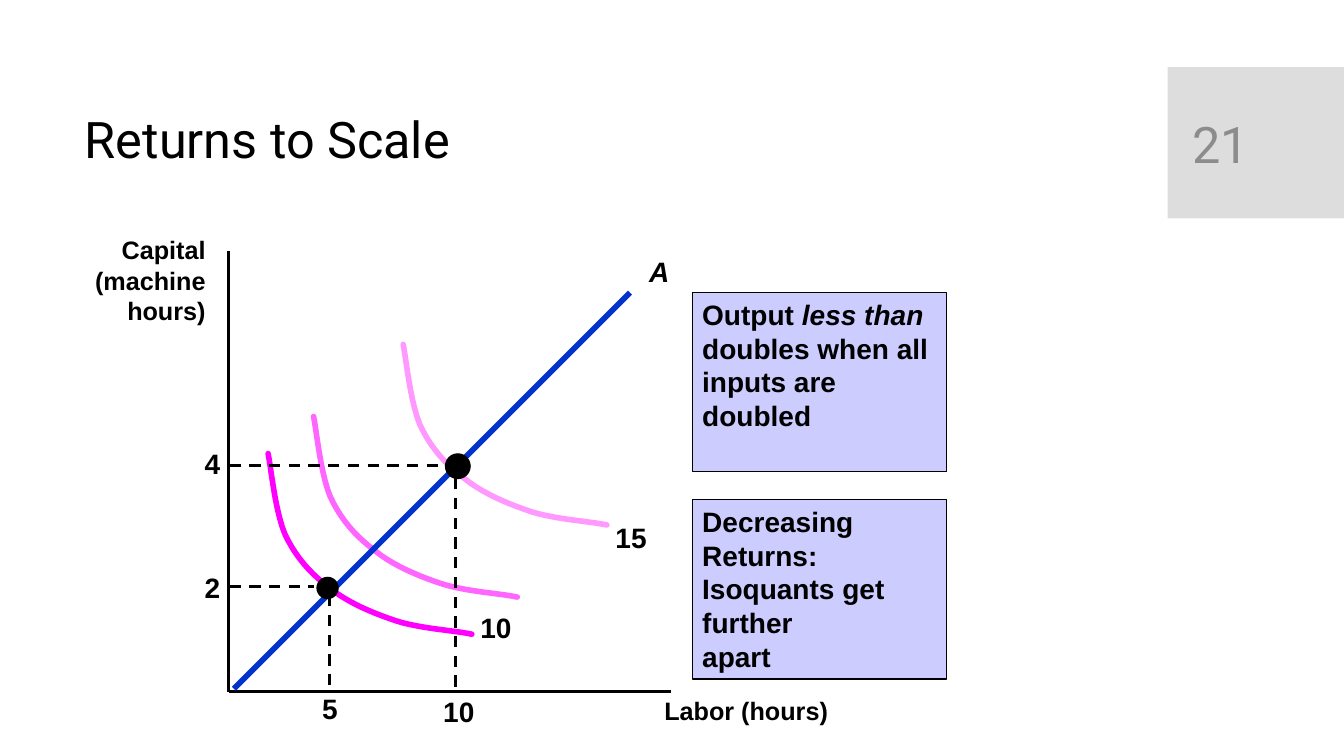
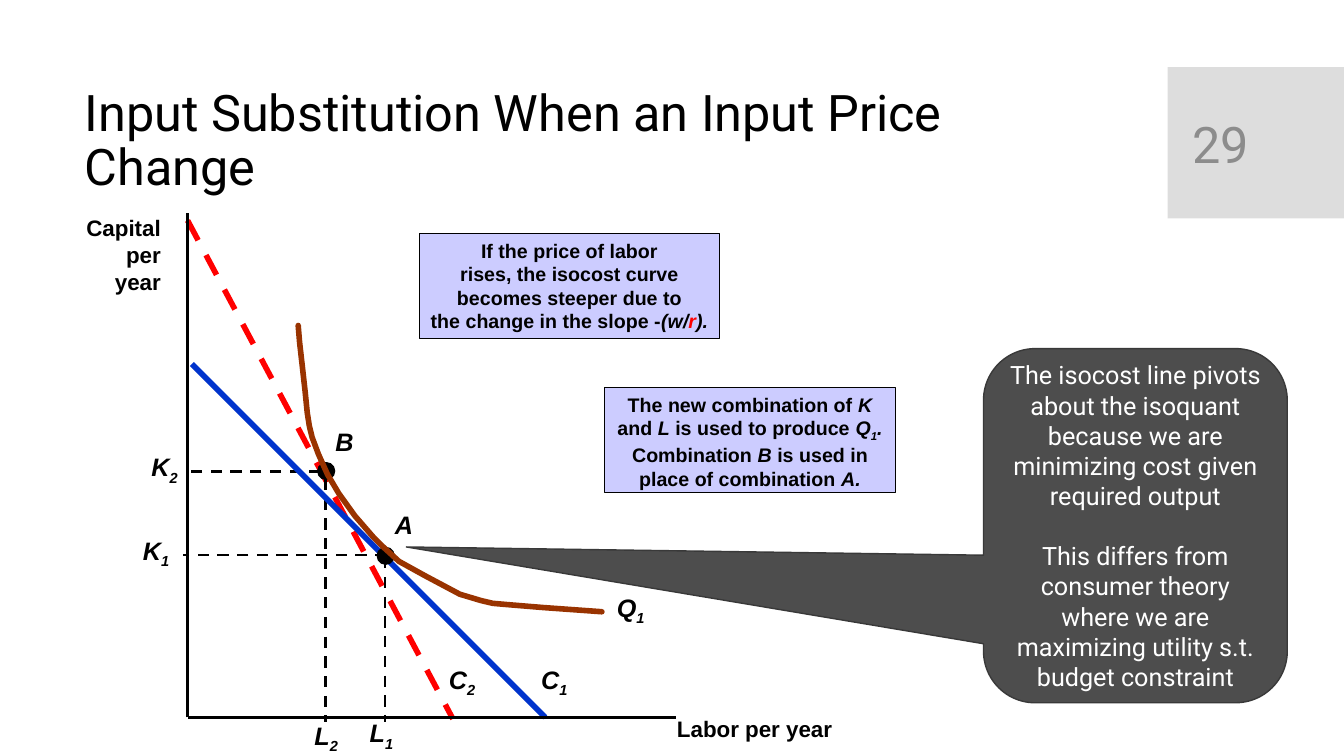
from dataclasses import dataclass
from typing import Any

from lxml.etree import SubElement
from pptx import Presentation
from pptx.dml.color import RGBColor
from pptx.enum.dml import MSO_LINE
from pptx.enum.shapes import MSO_CONNECTOR, MSO_SHAPE
from pptx.enum.text import MSO_ANCHOR, PP_ALIGN
from pptx.oxml.ns import qn
from pptx.util import Pt

# Shared look
BLACK, WHITE, RED, BLUE, BROWN = "000000", "FFFFFF", "FF0000", "0033CC", "993300"
BAND, PAGE_GREY, NOTE_FILL = "DDDDDD", "8C8C8C", "CCCCFF"
CALLOUT_FILL, CALLOUT_EDGE = "4D4D4D", "393939"
HEADING_FONT, CHART_FONT = "Roboto", "Arial"
LEFT, CENTER, RIGHT = PP_ALIGN.LEFT, PP_ALIGN.CENTER, PP_ALIGN.RIGHT

# Isoquant of the first slide: cubic segments, right of and below its start
ISOQUANT_SEGMENTS = [
    [(0, 0), (2, 9.5), (5, 41), (12, 57.5)],
    [(12, 57.5), (19.5, 73.5), (30, 85.5), (44, 96)],
    [(44, 96), (57, 106.5), (75, 114), (91.5, 119.5)],
    [(91.5, 119.5), (108.5, 125), (134.5, 126.5), (145.5, 129)],
]

# Isoquant Q1 of the second slide, right of and above the axes' corner
Q1_POINTS = [
    (79, 280), (80, 268), (82, 250.5), (84, 232.5), (85.5, 217.5), (87, 208),
    (89, 200), (93.5, 188), (100, 173.5), (108, 160), (119.5, 144),
    (132.5, 129), (139, 122.5), (151, 111.5), (170, 101), (194.5, 88),
    (209.5, 83.5), (218, 81.5), (229.5, 80.5), (254, 78.5), (296, 75.5),
]


def color(hex_code):
    return RGBColor.from_string(hex_code)


def points(*lengths):
    return [Pt(length) for length in lengths]


def paint(shape, fill=None, edge=None, width=1):
    shape.shadow.inherit = False
    if fill:
        shape.fill.solid()
        shape.fill.fore_color.rgb = color(fill)
    else:
        shape.fill.background()
    if edge:
        shape.line.color.rgb = color(edge)
        shape.line.width = Pt(width)
    else:
        shape.line.fill.background()


def var(letter, index=None):
    """An italic symbol with an optional subscript."""
    return [(letter, "i")] + ([(index, "sub")] if index else [])


def write(shape, paragraphs, size, font=CHART_FONT, ink=BLACK, bold=True,
          align=LEFT, anchor=MSO_ANCHOR.TOP, wrap=True, gap=0, spacing=None):
    """Each paragraph is a string or a list of (text, style) runs."""
    frame = shape.text_frame
    frame.word_wrap, frame.vertical_anchor = wrap, anchor
    for number, runs in enumerate(paragraphs):
        paragraph = frame.add_paragraph() if number else frame.paragraphs[0]
        paragraph.alignment = align
        if spacing:
            paragraph.line_spacing = spacing
        if number and gap:
            paragraph.space_before = Pt(gap)
        paragraph.font.name, paragraph.font.size = font, Pt(size)
        paragraph.font.bold, paragraph.font.color.rgb = bold, color(ink)
        for text, style in [(runs, "")] if isinstance(runs, str) else runs:
            run = paragraph.add_run()
            run.text = text
            if style:
                run.font.italic = True
            if style == "sub":
                run.font._element.set("baseline", "-25000")
            if style == "red":
                run.font.color.rgb = color(RED)


def note(slide, box, paragraphs, size, **options):
    panel = slide.shapes.add_shape(MSO_SHAPE.RECTANGLE, *points(*box))
    paint(panel, NOTE_FILL, BLACK)
    write(panel, paragraphs, size, **options)


def add_base(deck, title, page):
    """Blank slide with the title and the page number on its band."""
    slide = deck.slides.add_slide(deck.slide_layouts[6])
    band = slide.shapes.add_shape(MSO_SHAPE.RECTANGLE, *points(834, 48, 126, 108))
    paint(band, BAND)
    for text, box, ink, spacing in (
        (title, (53.5, 59, 756.5, 85), BLACK, 0.9),
        (page, (844.5, 60, 91, 85.5), PAGE_GREY, None),
    ):
        write(slide.shapes.add_textbox(*points(*box)), [text], 36, HEADING_FONT, ink,
              bold=False, anchor=MSO_ANCHOR.MIDDLE, spacing=spacing)
    return slide


@dataclass
class Graph:
    """Axes with their corner at (left, base); places are right of and above it."""
    slide: Any
    left: float
    base: float
    label_size: float

    def at(self, x, up):
        return points(self.left + x, self.base - up)

    def line(self, start, end, ink=BLACK, width=2, dashed=False):
        stroke = self.slide.shapes.add_connector(
            MSO_CONNECTOR.STRAIGHT, *self.at(*start), *self.at(*end))
        stroke.line.color.rgb, stroke.line.width = color(ink), Pt(width)
        if dashed:
            stroke.line.dash_style = MSO_LINE.DASH
        SubElement(stroke._element.spPr, qn("a:effectLst"))

    def axes(self, width, height):
        self.line((0, 0), (0, height))
        self.line((0, 0), (width, 0))

    def guides(self, level, across, column, down):
        """Dashed lines from a point to both axes."""
        self.line((across[0], level), (across[1], level), dashed=True)
        self.line((column, down[0]), (column, down[1]), dashed=True)

    def curve(self, places, ink):
        pen = self.slide.shapes.build_freeform(*self.at(*places[0]))
        pen.add_line_segments([self.at(*place) for place in places[1:]], close=False)
        outline = pen.convert_to_shape()
        paint(outline, edge=ink, width=4)
        outline.line._get_or_add_ln().set("cap", "rnd")

    def dot(self, x, up, size, edge=None):
        mark = self.slide.shapes.add_shape(
            MSO_SHAPE.OVAL, *self.at(x - size / 2, up + size / 2), *points(size, size))
        paint(mark, BLACK, edge)

    def label(self, x, up, paragraphs, width=35, height=30, size=None, align=LEFT):
        box = self.slide.shapes.add_textbox(*self.at(x, up), *points(width, height))
        write(box, paragraphs, size or self.label_size, align=align, wrap=False)


def isoquant_places(x, up, steps=10):
    places = [(x, up)]
    for segment in ISOQUANT_SEGMENTS:
        for step in range(1, steps + 1):
            t = step / steps
            weights = ((1 - t) ** 3, 3 * t * (1 - t) ** 2, 3 * t * t * (1 - t), t ** 3)
            right, down = (sum(w * p[axis] for w, p in zip(weights, segment))
                           for axis in (0, 1))
            places.append((x + right, up - down))
    return places


def scale_graph(slide, left, base):
    graph = Graph(slide, left, base, 20)
    graph.axes(316, 315)
    graph.label(304, 1, ["Labor (hours)"], 132.5, size=18)
    graph.label(-103.5, 330, ["Capital", "(machine", "hours)"], 94, 73, 18, RIGHT)

    # Lower isoquants, guides, expansion path, then the top isoquant
    graph.curve(isoquant_places(28, 170), "FF00FF")
    graph.curve(isoquant_places(60.5, 196.5), "FF66FF")
    graph.guides(161.5, (0.5, 151), 162, (3.5, 158))
    graph.guides(75, (0.5, 61), 72, (4.5, 67))
    graph.line((3.5, 2), (286.5, 285), BLUE, 4)
    graph.curve(isoquant_places(124.5, 248), "FF99FF")
    graph.dot(163.5, 161, 18.5)
    graph.dot(70.5, 74, 16)

    # Values and names
    for x, up, runs, width in (
        (172.5, 61.5, "10", 37), (146, 1.5, "10", 37), (269, 126, "15", 37),
        (-24.5, 178.5, "4", 26), (-24.5, 90, "2", 26), (59.5, 3.5, "5", 26),
        (293, 316, var("A"), 29),
    ):
        graph.label(x, up, [runs], width)


def substitution_graph(slide, left, base):
    graph = Graph(slide, left, base, 18)

    # Isocost lines, guides and the isoquant
    graph.line((0, 355), (189.5, -1), RED, 4, dashed=True)
    graph.dot(99, 176, 12, BLACK)
    graph.guides(175.5, (95, 2), 98.5, (170.5, -3))
    graph.line((3, 252.5), (255.5, 0), BLUE, 4)
    graph.guides(116, (142, -3.5), 141, (114.5, -3))
    graph.dot(141.5, 115.5, 12, BLACK)
    graph.curve(Q1_POINTS, BROWN)

    # Names of points, lines and quantities
    for x, up, letter, index in (
        (179.5, 41.5, "C", "2"), (245.5, 41.5, "C", "1"),
        (-33, 193.5, "K", "2"), (-39, 134, "K", "1"),
        (83.5, 1.5, "L", "2"), (123, 3.5, "L", "1"),
        (98.5, 211.5, "B", None), (141, 152, "A", None), (299.5, 93, "Q", "1"),
    ):
        graph.label(x, up, [var(letter, index)], 34 if index else 27)
    graph.label(342.5, 5, ["Labor per year"], 127, size=16)
    graph.label(-80.5, 363, ["Capital", "per", "year"], 68.5, 65.5, 16, RIGHT)
    graph.axes(349, 360)


def callout(slide, box):
    bubble = slide.shapes.add_shape(MSO_SHAPE.ROUNDED_RECTANGULAR_CALLOUT, *points(*box))
    for index, value in enumerate((-2.4, 0.06, 0.17)):
        bubble.adjustments[index] = value
    paint(bubble, CALLOUT_FILL, CALLOUT_EDGE)
    write(bubble, [
        "The isocost line pivots about the isoquant because we are "
        "minimizing cost given required output",
        "This differs from consumer theory where we are maximizing "
        "utility s.t. budget constraint",
    ], 18, HEADING_FONT, WHITE, bold=False, align=CENTER,
        anchor=MSO_ANCHOR.MIDDLE, gap=21)


def returns_slide(deck):
    slide = add_base(deck, "Returns to Scale", "21")
    scale_graph(slide, 163.5, 494)
    notes = (
        [[("Output ", ""), ("less than ", "i"),
          ("doubles when all inputs are doubled", "")]],
        ["Decreasing Returns:", "Isoquants get further", "apart"],
    )
    for row, paragraphs in enumerate(notes):
        note(slide, (494.5, 209 + 148 * row, 181.5, 128), paragraphs, 20)


def substitution_slide(deck):
    slide = add_base(deck, "Input Substitution When an Input Price Change", "29")
    substitution_graph(slide, 134, 512.5)
    note(slide, (432, 277, 207.5, 75), [
        [("The new combination of ", ""), ("K ", "i"), ("and ", ""), ("L", "i"),
         (" is used to produce ", ""), *var("Q", "1"), (".", "i")],
        [("Combination ", ""), ("B ", "i"),
         ("is used in place of combination ", ""), ("A.", "i")],
    ], 14, align=CENTER)
    note(slide, (299.5, 167, 214.5, 75), [
        "If the price of labor", "rises, the isocost curve", "becomes steeper due to",
        [("the change in the slope -", ""), ("(w/", "i"), ("r", "red"), (").", "i")],
    ], 14, align=CENTER, wrap=False)
    callout(slide, (702.5, 249, 217, 253))


def main():
    deck = Presentation()
    deck.slide_width, deck.slide_height = points(960, 540)
    returns_slide(deck)
    substitution_slide(deck)
    deck.save("out.pptx")


if __name__ == "__main__":
    main()
